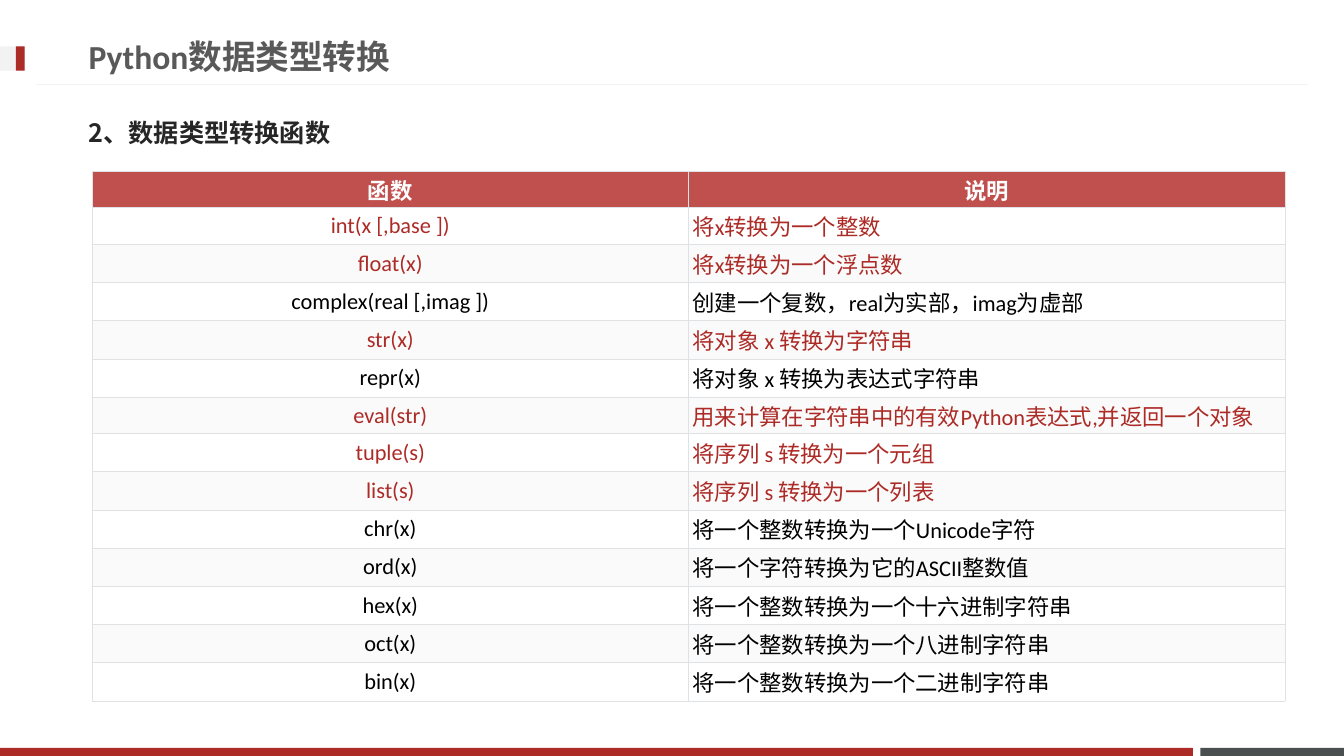
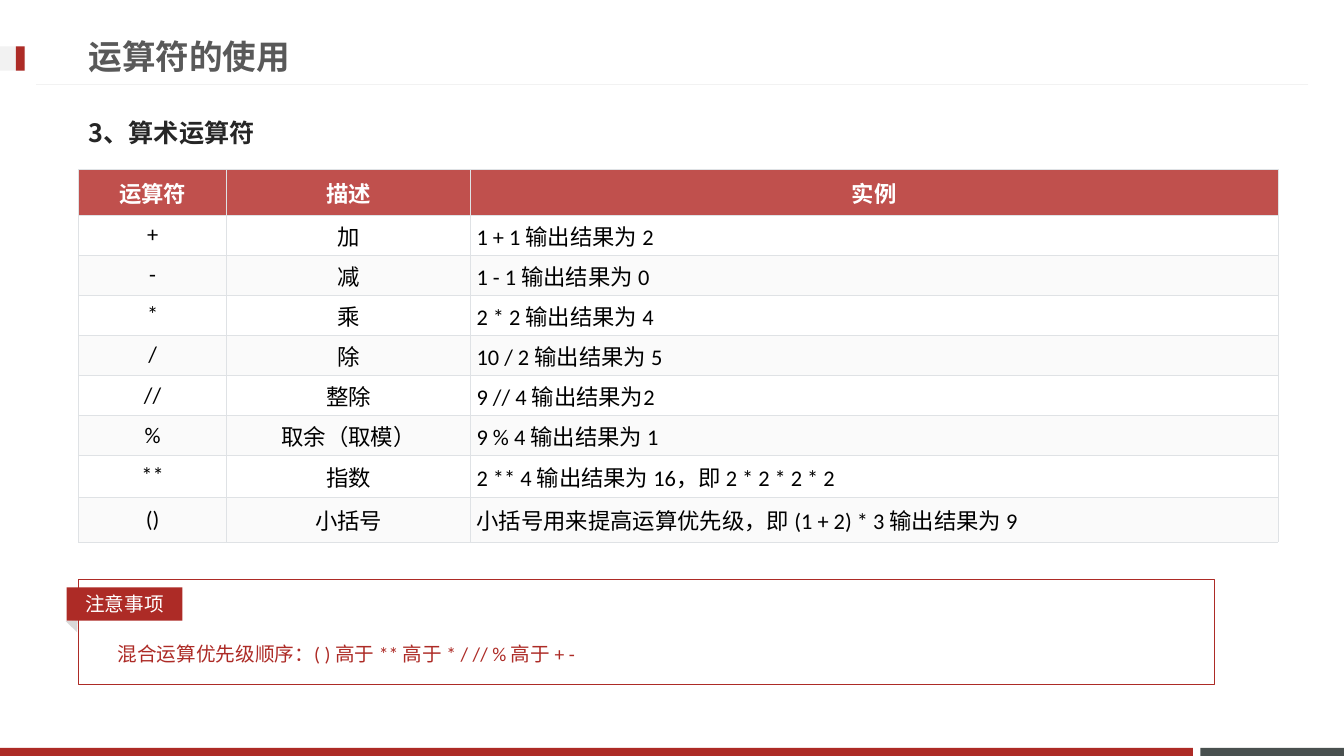
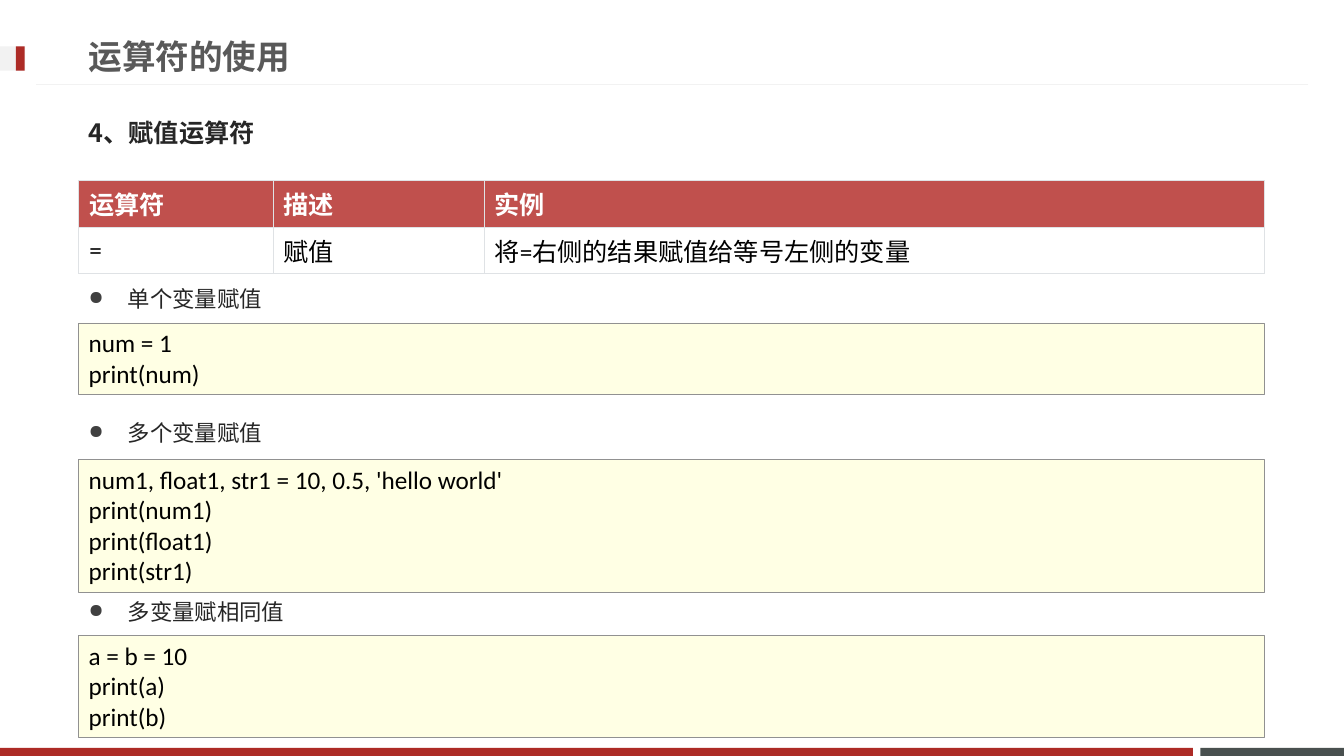
from lxml.etree import SubElement
from pptx import Presentation
from pptx.dml.color import RGBColor
from pptx.enum.shapes import MSO_CONNECTOR, MSO_SHAPE
from pptx.enum.text import MSO_ANCHOR, PP_ALIGN
from pptx.oxml.ns import qn
from pptx.util import Pt


class Theme:
    red, slate, pale = "AD2B26", "49504F", "F2F2F2"
    title, heading, bullet = "595959", "262626", "404040"
    header, band, grid = "C0504D", "FAFAFA", "DFE2E5"
    code, code_edge, fold = "FFFFE4", "919191", "D9D9D9"
    white, black = "FFFFFF", "000000"
    font, heading_font = "Calibri", "Noto Sans CJK JP"
    title_size, large, medium, small = 24, 18, 16, 14


# Content
LEFT, WIDTH = 56.2, 846.7
CENTER, START = PP_ALIGN.CENTER, PP_ALIGN.LEFT

FUNCTIONS = [
    ("函数", "说明"),
    ("int(x [,base ])", "将x转换为一个整数"),
    ("float(x)", "将x转换为一个浮点数"),
    ("complex(real [,imag ])", "创建一个复数，real为实部，imag为虚部"),
    ("str(x)", "将对象 x 转换为字符串"),
    ("repr(x)", "将对象 x 转换为表达式字符串"),
    ("eval(str)", "用来计算在字符串中的有效Python表达式,并返回一个对象"),
    ("tuple(s)", "将序列 s 转换为一个元组"),
    ("list(s)", "将序列 s 转换为一个列表"),
    ("chr(x)", "将一个整数转换为一个Unicode字符"),
    ("ord(x)", "将一个字符转换为它的ASCII整数值"),
    ("hex(x)", "将一个整数转换为一个十六进制字符串"),
    ("oct(x)", "将一个整数转换为一个八进制字符串"),
    ("bin(x)", "将一个整数转换为一个二进制字符串"),
]
KEY_FUNCTIONS = {"int(x [,base ])", "float(x)", "str(x)", "eval(str)", "tuple(s)", "list(s)"}

ARITHMETIC = [
    ("运算符", "描述", "实例"),
    ("+", "加", "1 + 1 输出结果为 2"),
    ("-", "减", "1 - 1 输出结果为 0"),
    ("*", "乘", "2 * 2 输出结果为 4"),
    ("/", "除", "10 / 2 输出结果为 5"),
    ("//", "整除", "9 // 4 输出结果为2"),
    ("%", "取余（取模）", "9 % 4 输出结果为 1"),
    ("**", "指数", "2 ** 4 输出结果为 16，即 2 * 2 * 2 * 2"),
    ("()", "小括号", "小括号用来提高运算优先级，即 (1 + 2) * 3 输出结果为 9"),
]
NOTICE = "注意事项"
PRECEDENCE = "混合运算优先级顺序：( ) 高于 ** 高于 * / // % 高于 + -"

ASSIGNMENT = [
    ("运算符", "描述", "实例"),
    ("=", "赋值", "将=右侧的结果赋值给等号左侧的变量"),
]
# Label, label centre, code top, code lines
EXAMPLES = [
    ("单个变量赋值", 213.5, 230.6, ["num = 1", "print(num)"]),
    ("多个变量赋值", 309.3, 328.3,
     ["num1, float1, str1 = 10, 0.5, 'hello world'",
      "print(num1)", "print(float1)", "print(str1)"]),
    ("多变量赋相同值", 437, 454, ["a = b = 10", "print(a)", "print(b)"]),
]


# Drawing helpers
def rgb(color):
    return RGBColor.from_string(color)


def style(paragraph, size, color, bold=False, font=Theme.font, align=START):
    paragraph.alignment = align
    paragraph.font.size = Pt(size)
    paragraph.font.name = font
    paragraph.font.bold = bold
    paragraph.font.color.rgb = rgb(color)


def write(frame, lines, size, color, anchor=MSO_ANCHOR.MIDDLE, **look):
    frame.word_wrap = True
    frame.vertical_anchor = anchor
    for index, line in enumerate(lines):
        paragraph = frame.add_paragraph() if index else frame.paragraphs[0]
        paragraph.text = line
        style(paragraph, size, color, **look)


def add_text(slide, box, line, size, color, **look):
    frame = slide.shapes.add_textbox(*map(Pt, box)).text_frame
    write(frame, [line], size, color, **look)
    return frame


def add_block(slide, box, fill=None, edge=None, edge_width=0.75, kind=MSO_SHAPE.RECTANGLE):
    block = slide.shapes.add_shape(kind, *map(Pt, box))
    block.shadow.inherit = False
    if fill:
        block.fill.solid()
        block.fill.fore_color.rgb = rgb(fill)
    else:
        block.fill.background()
    if edge:
        block.line.color.rgb = rgb(edge)
        block.line.width = Pt(edge_width)
    else:
        block.line.fill.background()
    return block


def add_borders(cell):
    properties = cell._tc.get_or_add_tcPr()
    for side in ("a:lnL", "a:lnR", "a:lnT", "a:lnB"):
        border = SubElement(properties, qn(side), w=str(Pt(0.6)))
        SubElement(SubElement(border, qn("a:solidFill")), qn("a:srgbClr"), val=Theme.grid)


def add_grid(slide, left, top, rows, widths, heights, aligns, size, insets,
             header_align=CENTER, highlighted=()):
    table = slide.shapes.add_table(len(rows), len(widths), Pt(left), Pt(top),
                                   Pt(sum(widths)), Pt(sum(heights))).table
    table.horz_banding = False
    for column, width in zip(table.columns, widths):
        column.width = Pt(width)
    for index, (row, height) in enumerate(zip(rows, heights)):
        table.rows[index].height = Pt(height)
        is_header = index == 0
        if is_header:
            fill, color = Theme.header, Theme.white
        else:
            fill = Theme.white if index % 2 else Theme.band
            color = Theme.red if row[0] in highlighted else Theme.black
        for number, (entry, align) in enumerate(zip(row, aligns)):
            cell = table.cell(index, number)
            cell.margin_left = cell.margin_right = Pt(insets[0])
            cell.margin_top = cell.margin_bottom = Pt(insets[1])
            cell.vertical_anchor = MSO_ANCHOR.MIDDLE
            add_borders(cell)
            cell.fill.solid()
            cell.fill.fore_color.rgb = rgb(fill)
            cell.text = entry
            style(cell.text_frame.paragraphs[0], size, color, bold=is_header,
                  align=header_align if is_header else align)


def add_bullet(paragraph):
    properties = paragraph._p.get_or_add_pPr()
    properties.set("marL", str(Pt(28)))
    properties.set("indent", str(-Pt(28)))
    SubElement(SubElement(properties, qn("a:buClr")), qn("a:srgbClr"), val=Theme.bullet)
    SubElement(properties, qn("a:buSzPct"), val="85000")
    SubElement(properties, qn("a:buChar"), char="●")


# Frame shared by all slides
def new_slide(deck, title, heading):
    slide = deck.slides.add_slide(deck.slide_layouts[6])
    for box, fill in [((857.5, 534.2, 102.5, 5.8), Theme.slate),
                      ((0, 534.2, 852, 5.8), Theme.red),
                      ((0, 33.2, 18, 17.2), Theme.pale),
                      ((11.3, 33.2, 6.4, 17.2), Theme.red)]:
        add_block(slide, box, fill)
    rule = slide.shapes.add_connector(MSO_CONNECTOR.STRAIGHT, Pt(934.5), Pt(60.3), Pt(25.5), Pt(60.3))
    rule.line.color.rgb = rgb(Theme.pale)
    rule.line.width = Pt(0.75)
    SubElement(rule._element.spPr, qn("a:effectLst"))
    add_text(slide, (LEFT, 19.5, 690, 41), title, Theme.title_size, Theme.title, bold=True)
    add_text(slide, (LEFT, 74.2, WIDTH, 41), heading, Theme.large, Theme.heading,
             bold=True, font=Theme.heading_font)
    return slide


# Slides
def conversion_slide(deck):
    slide = new_slide(deck, "Python数据类型转换", "2、数据类型转换函数")
    heights = [25.5, 26.5] + [27.3] * 4 + [25.9] + [27.3] * 7
    add_grid(slide, 65.8, 122.6, FUNCTIONS, [426, 426], heights, [CENTER, START],
             Theme.medium, (2.9, 1.4), highlighted=KEY_FUNCTIONS)


def arithmetic_slide(deck):
    slide = new_slide(deck, "运算符的使用", "3、算术运算符")
    add_grid(slide, LEFT, 121.2, ARITHMETIC, [105.6, 174.4, 576.6],
             [32.6] + [28.6] * 6 + [30, 32], [CENTER, CENTER, START], Theme.medium, (4.3, 2.2))
    fold = add_block(slide, (47.5, 442, 11.5, 6.5), Theme.fold, kind=MSO_SHAPE.ISOSCELES_TRIANGLE)
    fold.rotation = 44.2
    add_text(slide, (77, 454, 770, 26), PRECEDENCE, Theme.small, Theme.red)
    add_block(slide, (LEFT, 414, 811.4, 75), edge=Theme.red)
    tag = add_block(slide, (47.5, 419.6, 82.8, 23.8), Theme.red)
    write(tag.text_frame, [NOTICE], Theme.small, Theme.white, align=CENTER)


def assignment_slide(deck):
    slide = new_slide(deck, "运算符的使用", "4、赋值运算符")
    add_grid(slide, LEFT, 129, ASSIGNMENT, [138.8, 150.7, 557.2], [33.3, 33.3],
             [START] * 3, Theme.large, (7.6, 3.6), header_align=START)
    label_height, line_height, padding = 30, 21.9, 7.2
    for label, center, code_top, code in EXAMPLES:
        frame = slide.shapes.add_textbox(Pt(LEFT), Pt(center - label_height / 2),
                                         Pt(WIDTH), Pt(label_height)).text_frame
        add_bullet(frame.paragraphs[0])
        write(frame, [label], Theme.medium, Theme.heading)
        block = add_block(slide, (LEFT, code_top, WIDTH, padding + line_height * len(code)),
                          Theme.code, Theme.code_edge, 0.25)
        write(block.text_frame, code, Theme.large, Theme.black, anchor=MSO_ANCHOR.TOP)


def main():
    deck = Presentation()
    deck.slide_width, deck.slide_height = Pt(960), Pt(540)
    conversion_slide(deck)
    arithmetic_slide(deck)
    assignment_slide(deck)
    deck.save("out.pptx")


if __name__ == "__main__":
    main()
